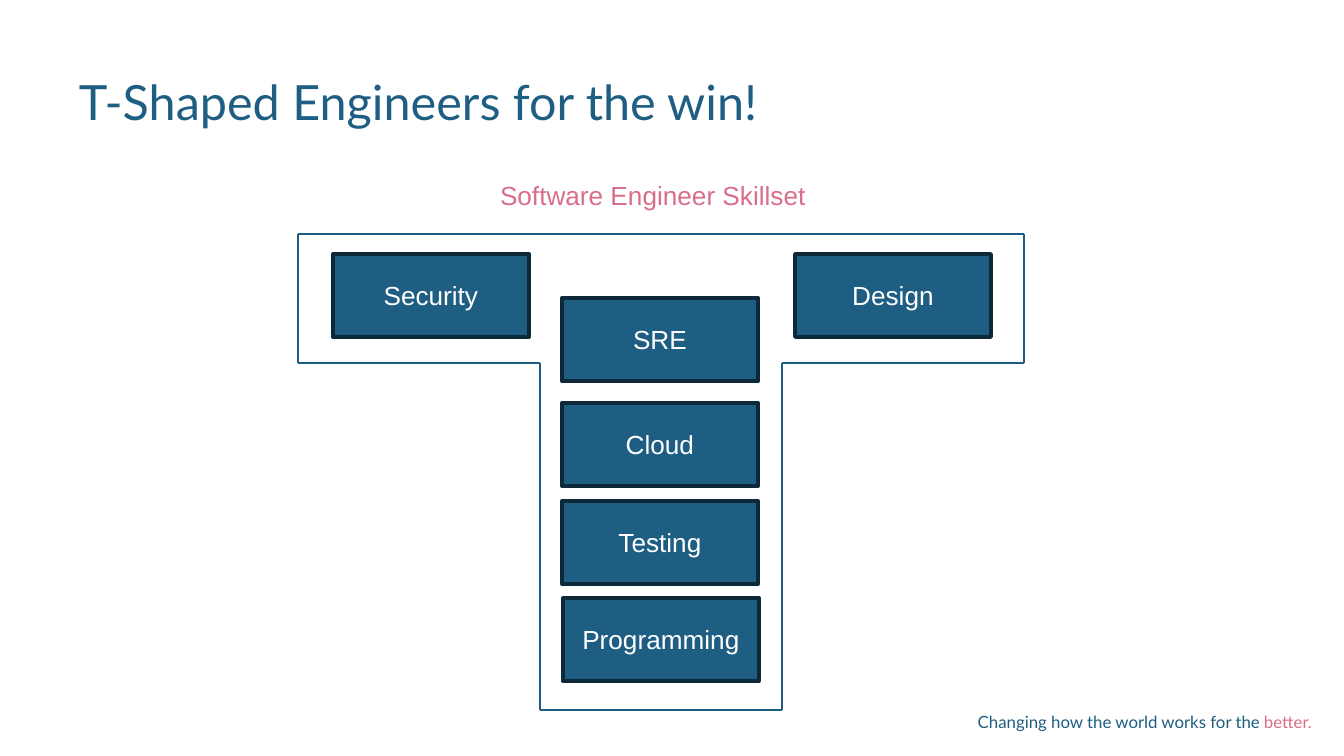
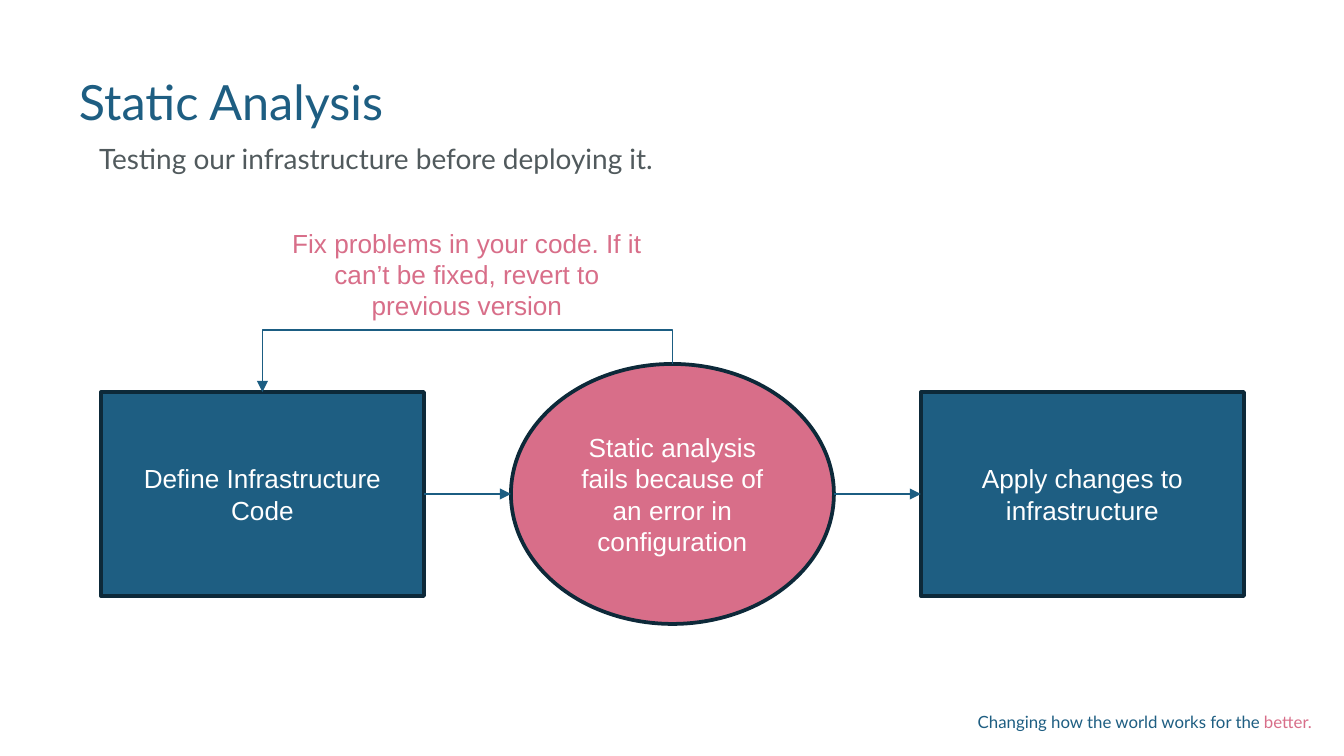
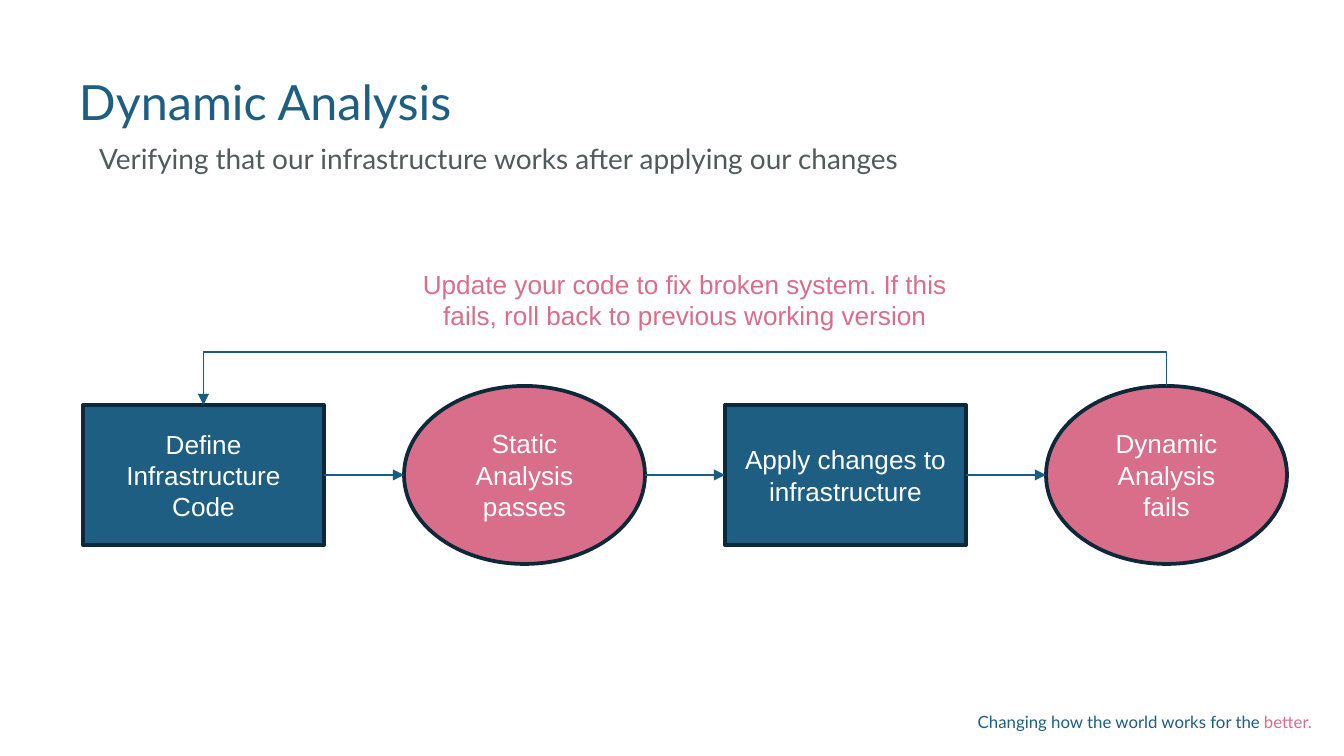
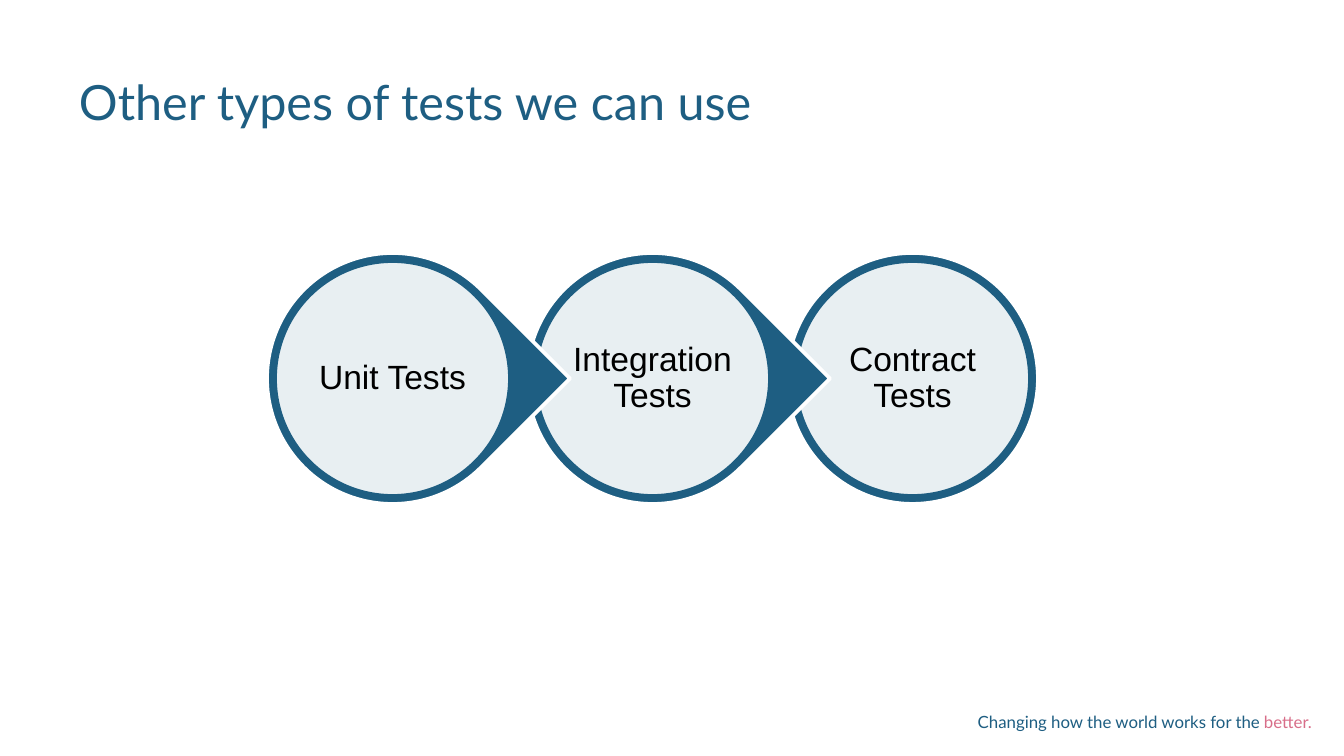
from itertools import pairwise

from lxml import etree
from pptx import Presentation
from pptx.dml.color import RGBColor
from pptx.enum.shapes import MSO_CONNECTOR, MSO_SHAPE
from pptx.enum.text import MSO_ANCHOR, MSO_AUTO_SIZE, PP_ALIGN
from pptx.oxml.ns import qn
from pptx.util import Emu, Pt

RECT, OVAL, DROP = MSO_SHAPE.RECTANGLE, MSO_SHAPE.OVAL, MSO_SHAPE.TEAR
LINE, BENT = MSO_CONNECTOR.STRAIGHT, MSO_CONNECTOR.ELBOW
LEFT, MID, RIGHT = PP_ALIGN.LEFT, PP_ALIGN.CENTER, PP_ALIGN.RIGHT
TOP, CENTER = MSO_ANCHOR.TOP, MSO_ANCHOR.MIDDLE
GROW, FIXED = MSO_AUTO_SIZE.SHAPE_TO_FIT_TEXT, MSO_AUTO_SIZE.NONE

WIDE, TALL = 1344, 756
SCALE = 914400 / 134.4
COLORS = {
    "blue": "1E5E82",
    "edge": "0D2939",
    "wire": "1B5D82",
    "pink": "D86E89",
    "gray": "515A5D",
    "white": "FFFFFF",
    "black": "000000",
}


def px(count):
    return Emu(round(count * SCALE))


def rgb(name):
    return RGBColor.from_string(COLORS[name])


def write(shape, text, size=14, color="white", font="Arial", align=MID,
          anchor=CENTER, pad=(13, 7), space=None, fit=FIXED):
    """Fill a shape with one paragraph: a string, or (text, color) pairs."""
    frame = shape.text_frame
    frame.word_wrap = True
    frame.auto_size = fit
    frame.vertical_anchor = anchor
    frame.margin_left = frame.margin_right = px(pad[0])
    frame.margin_top = frame.margin_bottom = px(pad[1])
    para = frame.paragraphs[0]
    para.alignment = align
    if space:
        para.line_spacing = space
    for part, tint in [(text, color)] if isinstance(text, str) else text:
        run = para.add_run()
        run.text = part
        run.font.name = font
        run.font.size = Pt(size)
        run.font.color.rgb = rgb(tint)
    return para


def add_text(slide, box, text, **style):
    shape = slide.shapes.add_textbox(*map(px, box))
    return write(shape, text, **style)


def add_node(slide, kind, box, fill="blue", edge="edge"):
    shape = slide.shapes.add_shape(kind, *map(px, box))
    shape.shadow.inherit = False
    shape.fill.solid()
    shape.fill.fore_color.rgb = rgb(fill)
    shape.line.color.rgb = rgb(edge)
    shape.line.width = Pt(2)
    return shape


def add_wire(slide, start, end, kind=LINE, arrow=False):
    wire = slide.shapes.add_connector(kind, *map(px, (*start, *end)))
    wire.line.color.rgb = rgb("wire")
    wire.line.width = Pt(0.75)
    if arrow:
        etree.SubElement(wire.line._get_or_add_ln(), qn("a:tailEnd"), type="triangle")
    etree.SubElement(wire.element.spPr, qn("a:effectLst"))
    return wire


def add_loop(slide, start, end, rise):
    """Run an arrow up from start, back left, and down onto the lower end."""
    drop, span = end[1] - start[1], start[0] - end[0]
    x, y = (start[0] + end[0]) / 2, (start[1] + end[1]) / 2
    wire = add_wire(slide, (x + drop / 2, y + span / 2),
                    (x - drop / 2, y - span / 2), BENT, True)
    props = wire.element.spPr
    props.find(qn("a:xfrm")).set("rot", "16200000")
    geom = props.find(qn("a:prstGeom"))
    guides = geom.find(qn("a:avLst"))
    if guides is None:
        guides = etree.SubElement(geom, qn("a:avLst"))
    etree.SubElement(guides, qn("a:gd"), name="adj1",
                     fmla=f"val {round(-rise / drop * 100000)}")


def add_foot(layout, slide):
    """Set the tagline once, on the layout that all slides use."""
    add_text(slide, (956, 712, 356, 23),
             [("Changing how the world works for the ", "blue"), ("better.", "pink")],
             size=9, font="Lato", align=RIGHT, anchor=TOP, pad=(0, 0))
    layout.shapes.element.append(slide.shapes[-1].element)


def add_slide(deck, layout, title, sub=None):
    slide = deck.slides.add_slide(layout)
    head = slide.shapes.title
    head.left, head.top, head.width, head.height = map(px, (66, 66, 1212, 66))
    look = dict(font="Lato", align=LEFT, anchor=TOP, pad=(13, 13), space=0.9)
    write(head, title, size=26, color="blue", **look)
    if sub:
        para = add_text(slide, (66, 132, 1212, 48), sub, size=15, color="gray", **look)
        props = para._p.get_or_add_pPr()
        props.set("marL", str(px(67)))
        props.set("indent", str(px(-47)))
    return slide


def add_label(slide, box, text):
    add_text(slide, box, text, color="pink", anchor=TOP, fit=GROW)


def add_tee(slide, box, skills):
    """Outline a T whose stem is the middle third, then place its skills."""
    left, top, wide, tall = box
    third, arm = wide / 3, 129
    marks = [(0, 0), (wide, 0), (wide, arm), (2 * third, arm), (2 * third, tall),
             (third, tall), (third, arm), (0, arm), (0, 0)]
    for start, end in pairwise((left + x, top + y) for x, y in marks):
        add_wire(slide, start, end)
    for name, x, y in skills:
        write(add_node(slide, RECT, (left + x, top + y, 196, 83)), name)


def add_flow(slide, box, gap, over, steps, back):
    """Chain steps of equal width; ovals stand out by over, and step back loops to the first."""
    left, top, wide, tall = box
    pitch, mid = wide + gap, top + tall / 2
    for i, (kind, text) in enumerate(steps):
        x = left + i * pitch
        if kind == OVAL:
            node = add_node(slide, OVAL, (x, top - over, wide, tall + 2 * over), "pink")
        else:
            node = add_node(slide, RECT, (x, top, wide, tall))
        write(node, text)
        if i:
            add_wire(slide, (x - gap, mid), (x, mid), arrow=True)
    half = left + wide / 2
    add_loop(slide, (half + back * pitch, top - over), (half, top), 34)


def add_chain(slide, box, pitch, names):
    """Overlap discs that point right, drawn from the last to the first."""
    left, top, side = box
    for i, name in reversed(list(enumerate(names))):
        def inset(gap):
            return left + i * pitch + gap, top + gap, side - 2 * gap, side - 2 * gap

        last = i == len(names) - 1
        back = add_node(slide, OVAL if last else DROP, inset(0), edge="white")
        back.rotation = 0 if last else 45
        disc = add_node(slide, OVAL, inset(8), "white", "blue")
        tint = disc.fill._xPr.find(qn("a:solidFill"))[0]
        etree.SubElement(tint, qn("a:alpha"), val="90000")
        add_text(slide, inset(41.5), name, size=18, color="black", pad=(4, 4), space=0.9)


def main():
    deck = Presentation()
    deck.slide_width, deck.slide_height = px(WIDE), px(TALL)
    layout = deck.slide_layouts[5]

    slide = add_slide(deck, layout, "T-Shaped Engineers for the win!")
    add_foot(layout, slide)
    add_tee(slide, (298, 234, 726, 476), [
        ("Programming", 265, 364),
        ("Testing", 264, 267),
        ("Cloud", 264, 169),
        ("SRE", 264, 64),
        ("Security", 35, 20),
        ("Design", 497, 20),
    ])
    add_label(slide, (477, 172, 352, 47), "Software Engineer Skillset")

    slide = add_slide(deck, layout, "Static Analysis",
                      "Testing our infrastructure before deploying it.")
    add_flow(slide, (101, 392, 323, 204), 87, 28, [
        (RECT, "Define Infrastructure Code"),
        (OVAL, "Static analysis fails because of an error in configuration"),
        (RECT, "Apply changes to infrastructure"),
    ], back=1)
    add_label(slide, (278, 220, 378, 109),
              "Fix problems in your code. If it can’t be fixed, revert to previous version")

    slide = add_slide(deck, layout, "Dynamic Analysis",
                      "Verifying that our infrastructure works after applying our changes")
    add_flow(slide, (83, 405, 241, 140), 80, 19, [
        (RECT, "Define Infrastructure Code"),
        (OVAL, "Static Analysis passes"),
        (RECT, "Apply changes to infrastructure"),
        (OVAL, "Dynamic Analysis fails"),
    ], back=3)
    add_label(slide, (388, 261, 594, 77),
              "Update your code to fix broken system. If this fails, "
              "roll back to previous working version")

    slide = add_slide(deck, layout, "Other types of tests we can use")
    add_chain(slide, (267, 253, 251), 260,
              ["Unit Tests", "Integration Tests", "Contract Tests"])

    deck.save("out.pptx")


if __name__ == "__main__":
    main()
